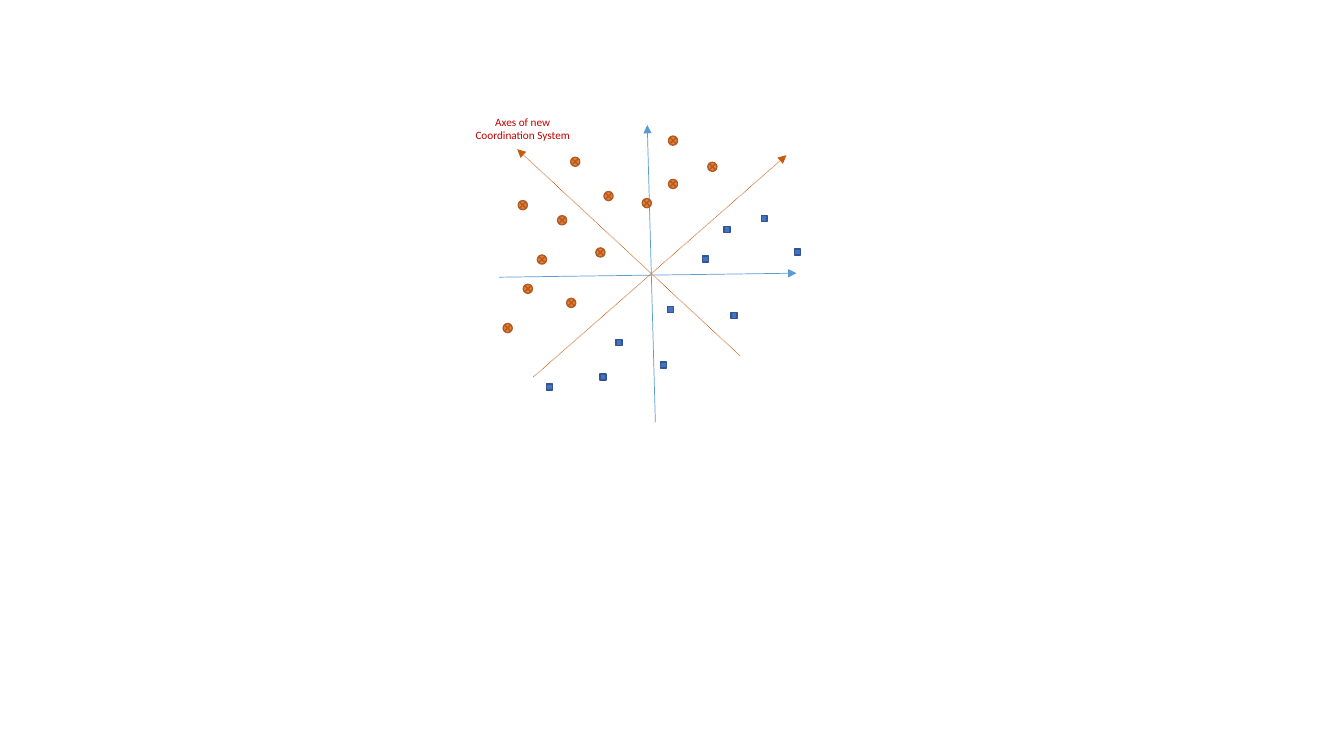
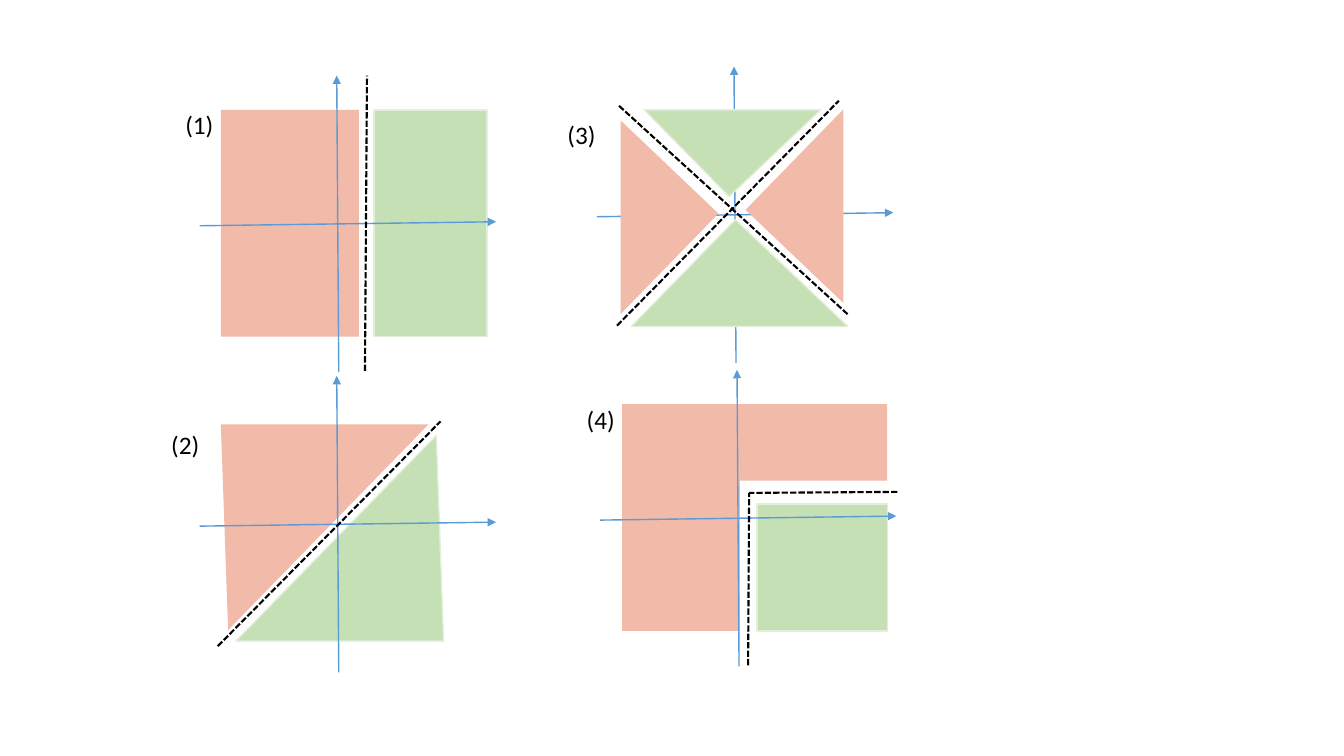
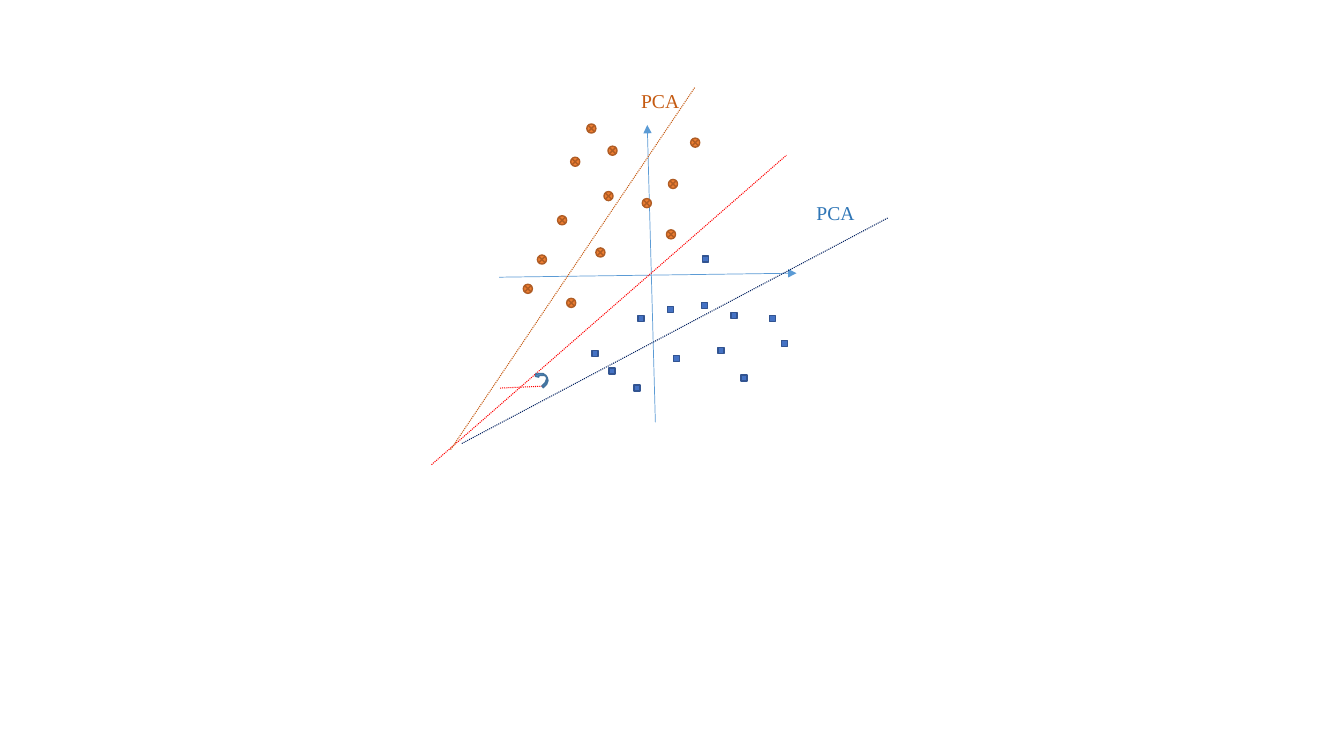
import lxml.etree
import pptx
import pptx.dml.color
import pptx.enum.dml
import pptx.enum.shapes
import pptx.enum.text
import pptx.oxml.ns
import pptx.util

Inches = pptx.util.Inches
Pt = pptx.util.Pt
RGB = pptx.dml.color.RGBColor
KIND = pptx.enum.shapes.MSO_SHAPE
DOT = pptx.enum.dml.MSO_LINE.ROUND_DOT
DASH = pptx.enum.dml.MSO_LINE.SQUARE_DOT
ALIGN = pptx.enum.text.PP_ALIGN

AXIS = RGB(0x5B, 0x9B, 0xD5)
ORANGE = RGB(0xED, 0x7D, 0x31)
BROWN = RGB(0xAF, 0x5C, 0x24)
RUST = RGB(0xC5, 0x5A, 0x11)
BLUE = RGB(0x44, 0x72, 0xC4)
NAVY = RGB(0x32, 0x54, 0x91)
DEEP = RGB(0x00, 0x20, 0x60)
STEEL = RGB(0x43, 0x73, 0x9E)
SKY = RGB(0x2E, 0x75, 0xB6)
RED = RGB(0xFF, 0x00, 0x00)
WINE = RGB(0xC0, 0x00, 0x00)
PINK = RGB(0xF2, 0xBA, 0xA8)
GREEN = RGB(0xC5, 0xE0, 0xB4)
PALE = RGB(0xE2, 0xF0, 0xD9)
BLACK = RGB(0x00, 0x00, 0x00)


def add_line(slide, ends, color, width, dash=None, arrow=False):
    """Draw a straight line between ends (x1, y1, x2, y2)."""
    link = slide.shapes.add_connector(
        pptx.enum.shapes.MSO_CONNECTOR.STRAIGHT, *[Inches(v) for v in ends])
    link.line.color.rgb = color
    link.line.width = Pt(width)
    if dash:
        link.line.dash_style = dash
    props = link._element.spPr
    qn = pptx.oxml.ns.qn
    if arrow:
        lxml.etree.SubElement(props.find(qn("a:ln")), qn("a:tailEnd"), type="triangle")
    lxml.etree.SubElement(props, qn("a:effectLst"))


def add_form(slide, kind, box, fill, edge=None, turn=0, peak=None):
    """Draw a filled preset shape, with an edge if a colour is given."""
    form = slide.shapes.add_shape(kind, *[Inches(v) for v in box])
    form.shadow.inherit = False
    form.fill.solid()
    form.fill.fore_color.rgb = fill
    if edge is None:
        form.line.fill.background()
    else:
        form.line.color.rgb = edge
        form.line.width = Pt(1)
    form.rotation = turn
    if peak is not None:
        form.adjustments[0] = peak


deck = pptx.Presentation()
deck.slide_width = Inches(13.33)
deck.slide_height = Inches(7.5)
turned, zones, split = [deck.slides.add_slide(deck.slide_layouts[6]) for _ in range(3)]

# Scatter plots
both_dots = [(5.66, 1.56), (6.63, 1.78), (5.99, 1.9), (6.37, 1.97), (5.19, 2.82),
             (5.33, 2.53), (5.91, 2.46), (5.53, 2.14), (5.62, 2.96)]
both_boxes = [(6.62, 3.04), (7.25, 3.1), (6.97, 2.54)]
plots = [
    (turned,
     [(7.02, 1.61), (5.14, 1.99), (6.63, 1.35), (4.99, 3.21)],
     [(7.55, 2.14), (7.18, 2.25), (7.88, 2.47), (5.42, 3.81), (6.11, 3.37),
      (5.95, 3.71), (6.55, 3.59)]),
    (split,
     [(6.61, 2.28), (6.85, 1.37), (6.03, 1.45), (5.82, 1.23)],
     [(6.96, 3), (7.63, 3.13), (7.12, 3.45), (5.87, 3.48), (6.33, 3.13), (6.29, 3.82),
      (6.68, 3.53), (6.04, 3.65), (7.35, 3.72), (7.75, 3.38)]),
]
for slide, dots, boxes in plots:
    for ends in [(6.5, 4.19, 6.42, 1.24), (4.95, 2.75, 7.9, 2.71)]:
        add_line(slide, ends, AXIS, 0.5, arrow=True)
    for x, y in both_dots + dots:
        add_form(slide, KIND.FLOWCHART_SUMMING_JUNCTION, (x, y, 0.09, 0.09), ORANGE, BROWN)
    for x, y in both_boxes + boxes:
        add_form(slide, KIND.RECTANGLE, (x, y, 0.06, 0.06), BLUE, NAVY)

for ends in [(5.29, 3.74, 7.8, 1.54), (7.34, 3.53, 5.13, 1.48)]:
    add_line(turned, ends, RUST, 0.5, DOT, True)

for ends, color in [((4.28, 4.61, 7.8, 1.54), RED), ((4.58, 4.4, 8.81, 2.16), DEEP),
                    ((4.47, 4.46, 6.89, 0.87), RUST), ((4.96, 3.85, 5.41, 3.83), RED)]:
    add_line(split, ends, color, 0.75, DOT)
add_form(split, KIND.CURVED_UP_ARROW, (5.3, 3.71, 0.16, 0.09), AXIS, STEEL, 235.6)

# Decision zones
for box, fill, edge in [
    ((2.19, 1.09, 1.37, 2.25), PINK, None),
    ((3.71, 1.09, 1.12, 2.25), GREEN, PALE),
    ((7.29, 4.01, 1.51, 0.76), PINK, None),
    ((6.17, 4.01, 1.17, 2.25), PINK, None),
    ((7.51, 5, 1.29, 1.26), GREEN, PALE),
]:
    add_form(zones, KIND.RECTANGLE, box, fill, edge)
add_form(zones, KIND.ISOSCELES_TRIANGLE, (2.19, 4.21, 2.06, 2.04), PINK, None, 180, 0.965)
add_form(zones, KIND.ISOSCELES_TRIANGLE, (2.34, 4.32, 2.06, 2.04), GREEN, PALE, 0, 0.965)

for x, y in [(1.98, 0.75), (1.98, 3.73), (5.92, 0.66), (5.95, 3.67)]:
    add_line(zones, (x + 1.38, y + 2.94, x + 1.36, y), AXIS, 1, arrow=True)
    add_line(zones, (x, y + 1.49, x + 2.94, y + 1.45), AXIS, 1, arrow=True)

for ends in [(3.62, 3.68, 3.64, 0.75), (2.16, 6.41, 4.37, 4.18), (6.12, 3.23, 8.32, 1),
             (6.14, 1.05, 8.41, 3.12), (7.42, 6.6, 7.43, 4.89), (8.9, 4.88, 7.43, 4.89)]:
    add_line(zones, ends, BLACK, 1.5, DASH)

for box, fill, edge, turn, peak in [
    ((6.26, 2.18, 2.15, 1.06), GREEN, PALE, 0, 0.481),
    ((6.39, 1.09, 1.75, 0.86), GREEN, PALE, 180, 0.519),
    ((6.92, 1.56, 1.92, 0.97), PINK, None, 270, 0.481),
    ((5.68, 1.67, 1.92, 0.97), PINK, None, 90, 0.481),
]:
    add_form(zones, KIND.ISOSCELES_TRIANGLE, box, fill, edge, turn, peak)

# Labels
labels = [
    (turned, "Axes of new Coordination System", (4.61, 1.09, 1.15, 0.37),
     "Calibri", 8, WINE, ALIGN.CENTER),
    (split, "PCA", (6.26, 0.83, 0.87, 0.34), "Times New Roman", 14, RUST, ALIGN.LEFT),
    (split, "PCA", (8, 1.94, 0.87, 0.34), "Times New Roman", 14, SKY, ALIGN.LEFT),
]
spots = [(1.74, 1.04), (1.6, 4.21), (5.53, 1.13), (5.72, 3.96)]
for num, (x, y) in enumerate(spots, 1):
    labels.append((zones, f"({num})", (x, y, 0.52, 0.4), "Calibri", 18, BLACK, ALIGN.LEFT))

for slide, text, box, face, size, color, align in labels:
    frame = slide.shapes.add_textbox(*[Inches(v) for v in box]).text_frame
    frame.word_wrap = True
    frame.auto_size = pptx.enum.text.MSO_AUTO_SIZE.SHAPE_TO_FIT_TEXT
    frame.text = text
    para = frame.paragraphs[0]
    para.alignment = align
    font = para.runs[0].font
    font.name = face
    font.size = Pt(size)
    font.color.rgb = color

deck.save("out.pptx")
